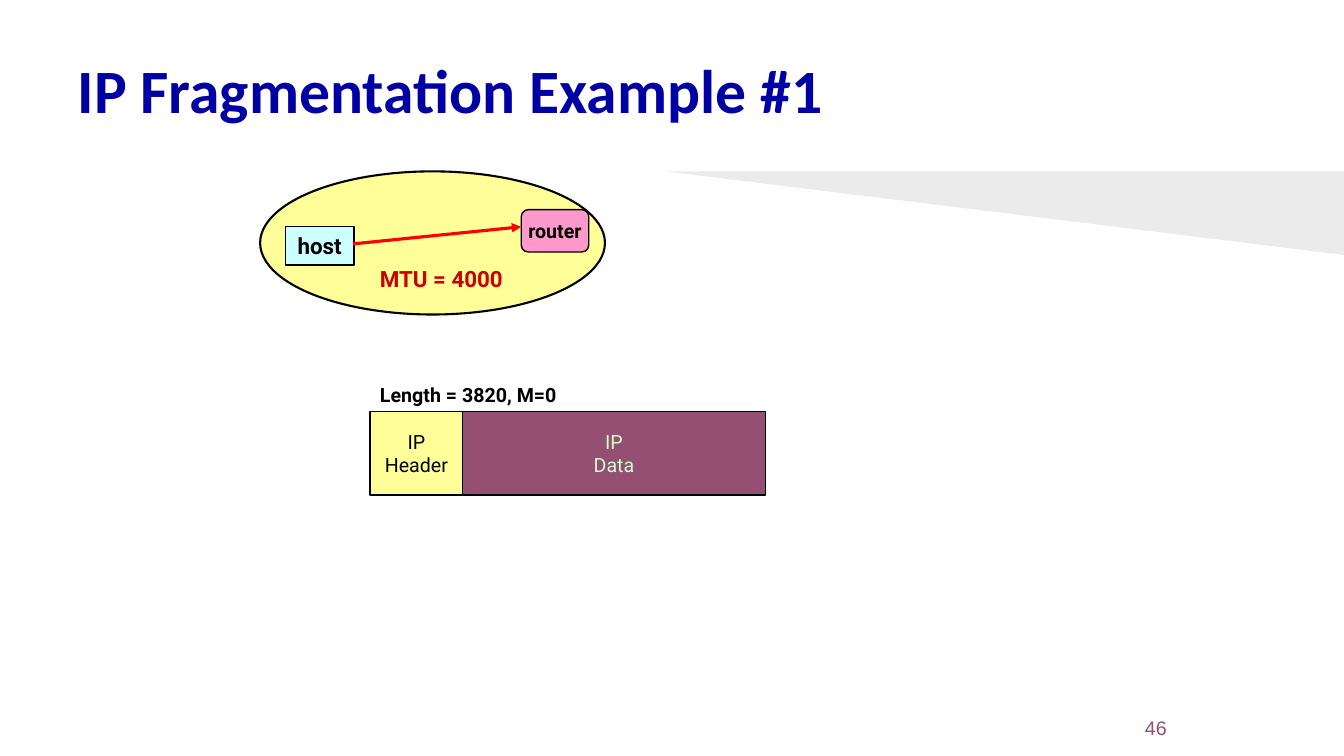
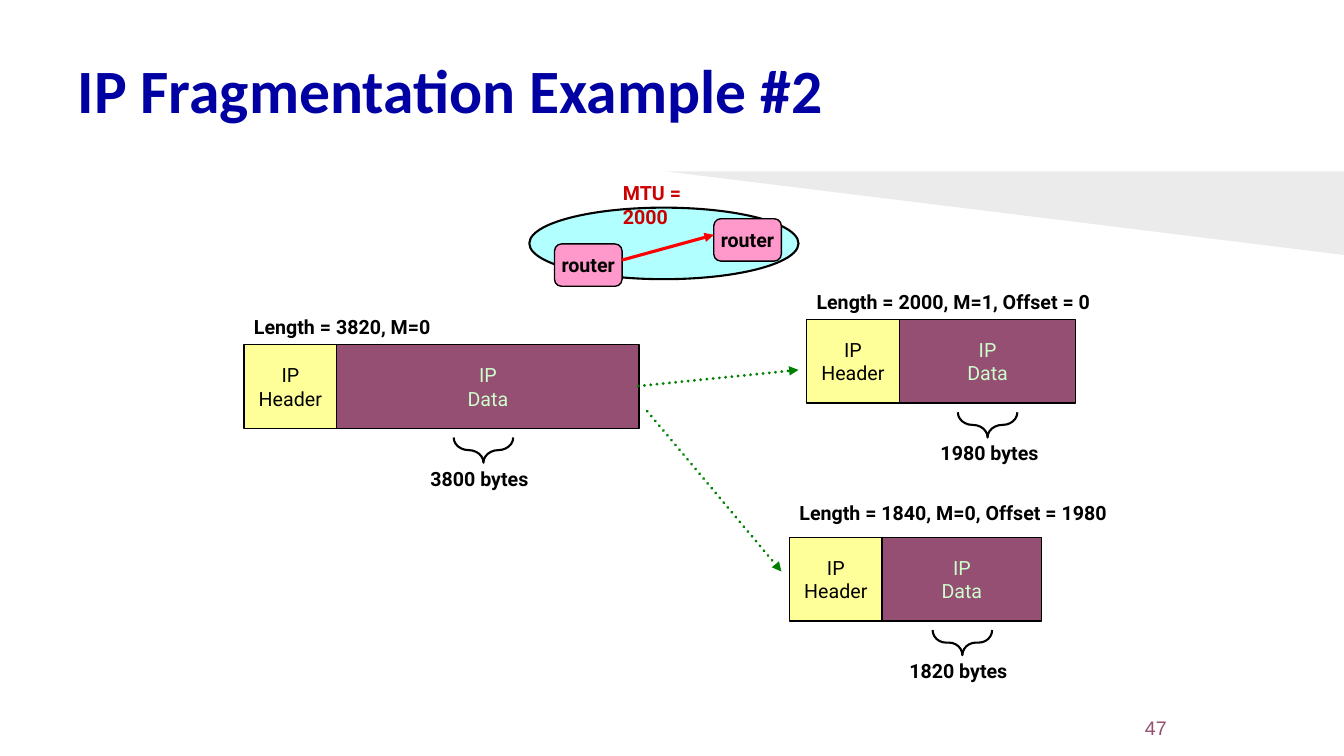
"""Build two slides on IP fragmentation."""
from dataclasses import dataclass
from typing import Optional

from lxml.etree import SubElement
from pptx import Presentation
from pptx.dml.color import RGBColor
from pptx.enum.dml import MSO_LINE
from pptx.enum.shapes import MSO_CONNECTOR, MSO_SHAPE as Preset
from pptx.enum.text import MSO_ANCHOR as Anchor, MSO_AUTO_SIZE as AutoSize, PP_ALIGN as Align
from pptx.oxml.ns import qn
from pptx.util import Pt

PX = 9144
WIDTH, HEIGHT = 1333, 750

WHITE = RGBColor(0xFF, 0xFF, 0xFF)
BLACK = RGBColor(0x00, 0x00, 0x00)
NAVY = RGBColor(0x00, 0x00, 0xA3)
PLUM = RGBColor(0x95, 0x4F, 0x72)
YELLOW = RGBColor(0xFF, 0xFF, 0x99)
PALE_CYAN = RGBColor(0xCC, 0xFF, 0xFF)
CYAN = RGBColor(0x66, 0xFF, 0xFF)
PINK = RGBColor(0xFF, 0x99, 0xCC)
MINT = RGBColor(0xCC, 0xFF, 0xCC)
CRIMSON = RGBColor(0xCC, 0x00, 0x00)
RED = RGBColor(0xFF, 0x00, 0x00)
GREEN = RGBColor(0x00, 0x80, 0x00)

HEADER_WIDTH, PACKET_HEIGHT = 92, 83
BRACE_WIDTH, BRACE_HEIGHT = 25, 59


@dataclass(frozen=True)
class TextStyle:
    """Font, size, weight and colour of a text."""
    size: int
    color: RGBColor = BLACK
    bold: bool = True
    name: str = "Roboto"


@dataclass(frozen=True)
class Box:
    """Left, top, width and height in px."""
    left: int
    top: int
    width: int
    height: int

    def emu(self) -> tuple:
        return tuple(px * PX for px in (self.left, self.top, self.width, self.height))


@dataclass(frozen=True)
class Payload:
    """Brace below the data part and the byte count it points to."""
    text: str
    text_left: int
    brace_left: int
    curl: float


@dataclass(frozen=True)
class Packet:
    """IP packet with its caption and optional payload size."""
    left: int
    top: int
    data_width: int
    caption: str
    caption_top: int
    caption_width: int
    payload: Optional[Payload] = None


@dataclass(frozen=True)
class Arrow:
    """Arrow from one point to another."""
    x1: int
    y1: int
    x2: int
    y2: int
    color: RGBColor = RED
    dotted: bool = False


TITLE = TextStyle(44, NAVY, name="Calibri")
PAGE = TextStyle(14, PLUM, False, "Arial")
LABEL = TextStyle(14)
HOST = TextStyle(16)
HEADER = TextStyle(14, bold=False)
DATA = TextStyle(14, MINT, False)


def write(frame, text: str, style: TextStyle, align=Align.LEFT, **layout) -> None:
    """Fill a text frame and format its paragraphs."""
    frame.text = text
    for attribute, value in layout.items():
        setattr(frame, attribute, value)
    formats = {"name": style.name, "size": Pt(style.size), "bold": style.bold}
    for paragraph in frame.paragraphs:
        paragraph.alignment = align
        for attribute, value in formats.items():
            setattr(paragraph.font, attribute, value)
        paragraph.font.color.rgb = style.color


def set_alpha(shape, percent: int) -> None:
    """Make the solid fill of a shape partly transparent."""
    color = shape.element.spPr.find(qn("a:solidFill"))[0]
    SubElement(color, qn("a:alpha"), val=str(percent * 1000))


def add_label(slide, box: Box, text: str, style: TextStyle = LABEL, wrap: bool = False) -> None:
    """Add a text box that grows with its text."""
    label = slide.shapes.add_textbox(*box.emu())
    write(label.text_frame, text, style, word_wrap=wrap, auto_size=AutoSize.SHAPE_TO_FIT_TEXT)


def add_outlined(slide, preset, box: Box, fill: Optional[RGBColor], weight: float = 1):
    """Add a preset shape with a black outline."""
    shape = slide.shapes.add_shape(preset, *box.emu())
    shape.shadow.inherit = False
    if fill is None:
        shape.fill.background()
    else:
        shape.fill.solid()
        shape.fill.fore_color.rgb = fill
    shape.line.color.rgb = BLACK
    shape.line.width = Pt(weight)
    return shape


def add_block(slide, preset, box: Box, fill: RGBColor, text: str, style: TextStyle,
              wrap: bool) -> None:
    """Add an outlined shape with centred text."""
    block = add_outlined(slide, preset, box, fill)
    write(block.text_frame, text, style, Align.CENTER,
          word_wrap=wrap, vertical_anchor=Anchor.MIDDLE)


def add_router(slide, left: int, top: int) -> None:
    """Add a router node."""
    add_block(slide, Preset.ROUNDED_RECTANGLE, Box(left, top, 67, 42), PINK, "router", LABEL, False)


def add_arrow(slide, arrow: Arrow) -> None:
    """Add a straight arrow with a triangular head."""
    ends = (px * PX for px in (arrow.x1, arrow.y1, arrow.x2, arrow.y2))
    connector = slide.shapes.add_connector(MSO_CONNECTOR.STRAIGHT, *ends)
    connector.line.color.rgb = arrow.color
    connector.line.width = Pt(2.25)
    properties = connector.element.spPr
    stroke = properties.find(qn("a:ln"))
    if arrow.dotted:
        connector.line.dash_style = MSO_LINE.ROUND_DOT
        stroke.set("cap", "rnd")
    SubElement(stroke, qn("a:tailEnd"), type="triangle")
    SubElement(properties, qn("a:effectLst"))


def add_packet(slide, packet: Packet) -> None:
    """Add the header, data, caption and payload size of a packet."""
    left, top = packet.left, packet.top
    header = Box(left, top, HEADER_WIDTH, PACKET_HEIGHT)
    data = Box(left + HEADER_WIDTH, top, packet.data_width, PACKET_HEIGHT)
    add_block(slide, Preset.RECTANGLE, header, YELLOW, "IP\nHeader", HEADER, True)
    add_block(slide, Preset.RECTANGLE, data, PLUM, "IP\nData", DATA, True)
    add_label(slide, Box(left, packet.caption_top, packet.caption_width, 33), packet.caption)
    payload = packet.payload
    if payload:
        place = Box(payload.brace_left, top + 75, BRACE_WIDTH, BRACE_HEIGHT)
        brace = add_outlined(slide, Preset.LEFT_BRACE, place, None, 1.5)
        brace.rotation = 270
        brace.adjustments[0] = payload.curl
        add_label(slide, Box(payload.text_left, top + 116, 120, 34), payload.text)


def add_frame(prs, title: str, page: int):
    """Add a slide with the shared wedge, title and page number."""
    slide = prs.slides.add_slide(prs.slide_layouts[5])
    outline = slide.shapes.build_freeform(660, 170, scale=PX)
    outline.add_line_segments([(WIDTH, 170), (WIDTH, 253)], close=True)
    wedge = outline.convert_to_shape()
    wedge.shadow.inherit = False
    wedge.fill.solid()
    wedge.fill.fore_color.rgb = BLACK
    set_alpha(wedge, 8)
    wedge.line.fill.background()

    heading = slide.shapes.title
    heading.left, heading.top, heading.width, heading.height = Box(67, 30, 1200, 125).emu()
    inset = 10 * PX
    write(heading.text_frame, title, TITLE, word_wrap=True, auto_size=AutoSize.NONE,
          vertical_anchor=Anchor.MIDDLE, margin_left=inset, margin_right=inset,
          margin_top=inset, margin_bottom=inset)
    heading.text_frame.paragraphs[0].line_spacing = 0.9

    number = slide.shapes.add_textbox(*Box(1093, 707, 74, 30).emu())
    write(number.text_frame, str(page), PAGE, Align.RIGHT,
          word_wrap=True, vertical_anchor=Anchor.MIDDLE)
    return slide


def build_host_to_router(prs) -> None:
    """Build the slide with an unfragmented packet."""
    slide = add_frame(prs, "IP Fragmentation Example #1", 46)
    add_outlined(slide, Preset.OVAL, Box(258, 170, 342, 142), YELLOW, 1.5)
    add_block(slide, Preset.RECTANGLE, Box(283, 225, 68, 38), PALE_CYAN, "host", HOST, False)
    add_router(slide, 517, 208)
    add_label(slide, Box(367, 258, 143, 37), "MTU = 4000", TextStyle(16, CRIMSON))
    add_packet(slide, Packet(367, 408, 300, "Length = 3820, M=0", 375, 199))
    add_arrow(slide, Arrow(350, 242, 517, 225))


def build_router_to_router(prs) -> None:
    """Build the slide with a packet split in two."""
    slide = add_frame(prs, "IP Fragmentation Example #2", 47)
    network = add_outlined(slide, Preset.OVAL, Box(525, 206, 267, 71), CYAN, 1.5)
    set_alpha(network, 50)
    add_router(slide, 550, 242)
    add_router(slide, 708, 217)
    add_label(slide, Box(608, 175, 83, 57), "MTU = 2000", TextStyle(14, CRIMSON), wrap=True)
    packets = (
        Packet(242, 342, 300, "Length = 3820, M=0", 308, 199,
               Payload("3800 bytes", 417, 467, 0.97)),
        Packet(800, 317, 175, "Length = 2000, M=1, Offset = 0", 283, 298,
               Payload("1980 bytes", 923, 967, 0.58)),
        Packet(783, 533, 158, "Length = 1840, M=0, Offset = 1980", 492, 331,
               Payload("1820 bytes", 892, 942, 0.53)),
    )
    for packet in packets:
        add_packet(slide, packet)
    arrows = (
        Arrow(617, 258, 708, 233),
        Arrow(633, 383, 792, 367, GREEN, True),
        Arrow(642, 408, 775, 567, GREEN, True),
    )
    for arrow in arrows:
        add_arrow(slide, arrow)


def main() -> None:
    """Build and save the presentation."""
    prs = Presentation()
    prs.slide_width, prs.slide_height = WIDTH * PX, HEIGHT * PX
    background = prs.slide_master.background.fill
    background.solid()
    background.fore_color.rgb = WHITE
    build_host_to_router(prs)
    build_router_to_router(prs)
    prs.save("out.pptx")


if __name__ == "__main__":
    main()
